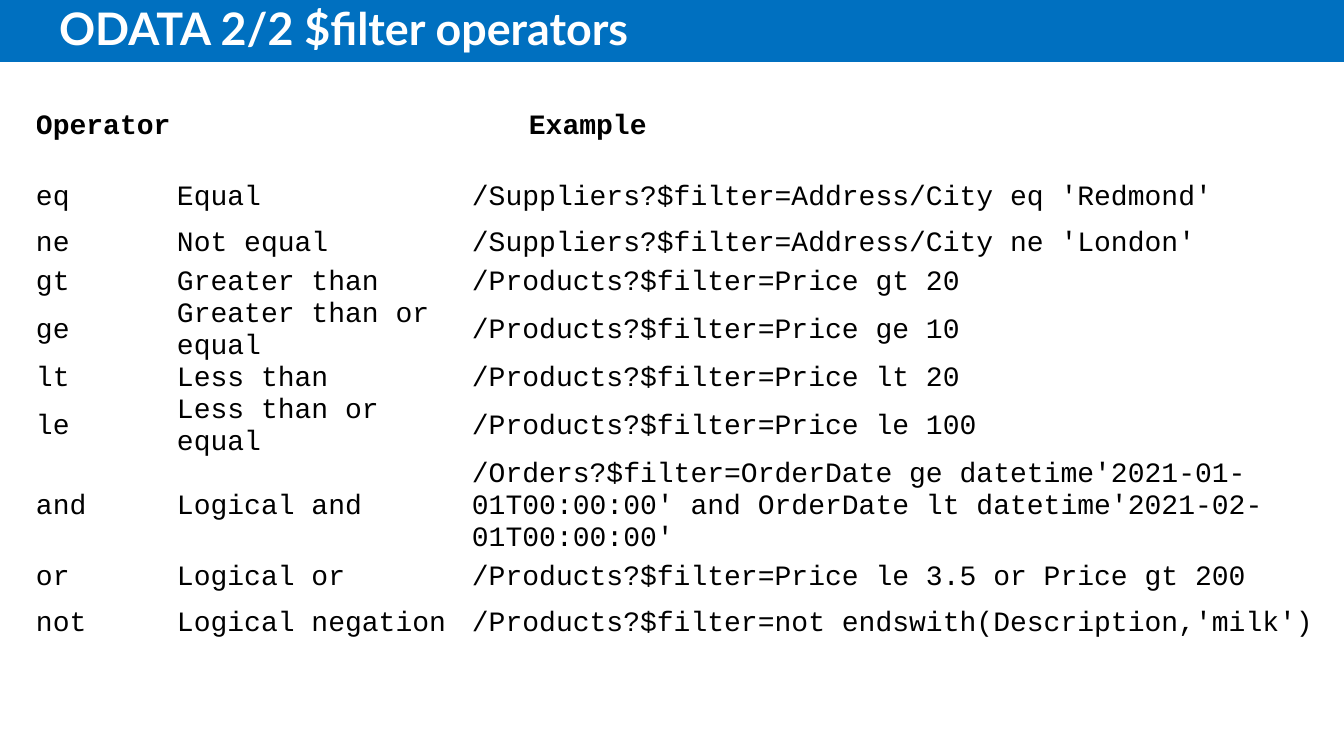
from pptx import Presentation
from pptx.dml.color import RGBColor
from pptx.enum.shapes import MSO_SHAPE
from pptx.enum.text import MSO_ANCHOR, PP_ALIGN
from pptx.util import Pt

RECT = MSO_SHAPE.RECTANGLE
MIDDLE = MSO_ANCHOR.MIDDLE
LEFT = PP_ALIGN.LEFT

PX_PER_INCH = 100.8
COLORS = {"bar": "0070C0", "paper": "FFFFFF", "ink": "000000"}

COLUMN_WIDTHS = [141, 295, 57, 798]
LINE_HEIGHT, TALL_ROW = 32, 46
HEADER = ("Operator", "", "", "Example")
# operator, meaning, example, row height
OPERATORS = [
    ("eq", "Equal", "/Suppliers?$filter=Address/City eq 'Redmond'", TALL_ROW),
    ("ne", "Not equal", "/Suppliers?$filter=Address/City ne 'London'", TALL_ROW),
    ("gt", "Greater than", "/Products?$filter=Price gt 20", LINE_HEIGHT),
    ("ge", "Greater than or equal", "/Products?$filter=Price ge 10", 2 * LINE_HEIGHT),
    ("lt", "Less than", "/Products?$filter=Price lt 20", LINE_HEIGHT),
    ("le", "Less than or equal", "/Products?$filter=Price le 100", 2 * LINE_HEIGHT),
    ("and", "Logical and",
     "/Orders?$filter=OrderDate ge datetime'2021-01-01T00:00:00' "
     "and OrderDate lt datetime'2021-02-01T00:00:00'", 3 * LINE_HEIGHT),
    ("or", "Logical or", "/Products?$filter=Price le 3.5 or Price gt 200", TALL_ROW),
    ("not", "Logical negation",
     "/Products?$filter=not endswith(Description,'milk')", TALL_ROW),
]


def px(n):
    return round(n * 914400 / PX_PER_INCH)


def color(name):
    return RGBColor.from_string(COLORS[name])


def set_font(p, name, size, color_name, bold):
    p.font.name = name
    p.font.size = Pt(size)
    p.font.bold = bold
    p.font.color.rgb = color(color_name)


def add_title_bar(slide, x, y, w, h):
    sp = slide.shapes.add_shape(RECT, px(x), px(y), px(w), px(h))
    sp.shadow.inherit = False
    sp.fill.solid()
    sp.fill.fore_color.rgb = color("bar")
    sp.line.fill.background()
    tf = sp.text_frame
    tf.word_wrap = True
    tf.vertical_anchor = MIDDLE
    tf.margin_left = px(59)
    p = tf.paragraphs[0]
    p.text = "ODATA 2/2 $filter operators"
    p.alignment = LEFT
    p.line_spacing = 0.9
    set_font(p, "Lato", 32, "paper", True)


def fill_cell(cell, text, bold):
    cell.fill.solid()
    cell.fill.fore_color.rgb = color("paper")
    cell.vertical_anchor = MIDDLE
    cell.margin_left = cell.margin_right = 0
    cell.margin_top = cell.margin_bottom = 0
    p = cell.text_frame.paragraphs[0]
    p.text = text
    set_font(p, "Courier New", 20, "ink", bold)


def add_operator_table(slide, x, y, w, h):
    """The last, empty row takes up the height that the others leave."""
    rows = [HEADER, ("",) * 4]
    rows += [(name, meaning, example, "") for name, meaning, example, _ in OPERATORS]
    rows.append(("",) * 4)
    heights = [LINE_HEIGHT, LINE_HEIGHT] + [row[-1] for row in OPERATORS]
    heights.append(h - sum(heights))

    table = slide.shapes.add_table(len(rows), len(COLUMN_WIDTHS),
                                   px(x), px(y), px(w), px(h)).table
    table.first_row = table.horz_banding = False
    for column, width in zip(table.columns, COLUMN_WIDTHS):
        column.width = px(width)
    for i, (texts, height) in enumerate(zip(rows, heights)):
        table.rows[i].height = px(height)
        for j, text in enumerate(texts):
            fill_cell(table.cell(i, j), text, i == 0)
        if i == 0:
            first, last = 1, 2
        elif not any(texts):
            first, last = 0, 3
        else:
            first, last = 2, 3
        table.cell(i, first).merge(table.cell(i, last))


def main():
    prs = Presentation()
    prs.slide_width, prs.slide_height = px(1344), px(756)
    slide = prs.slides.add_slide(prs.slide_layouts[6])
    add_title_bar(slide, 0, 0, 1344, 62)
    add_operator_table(slide, 36, 111, sum(COLUMN_WIDTHS), 590)
    prs.save("out.pptx")


if __name__ == "__main__":
    main()
